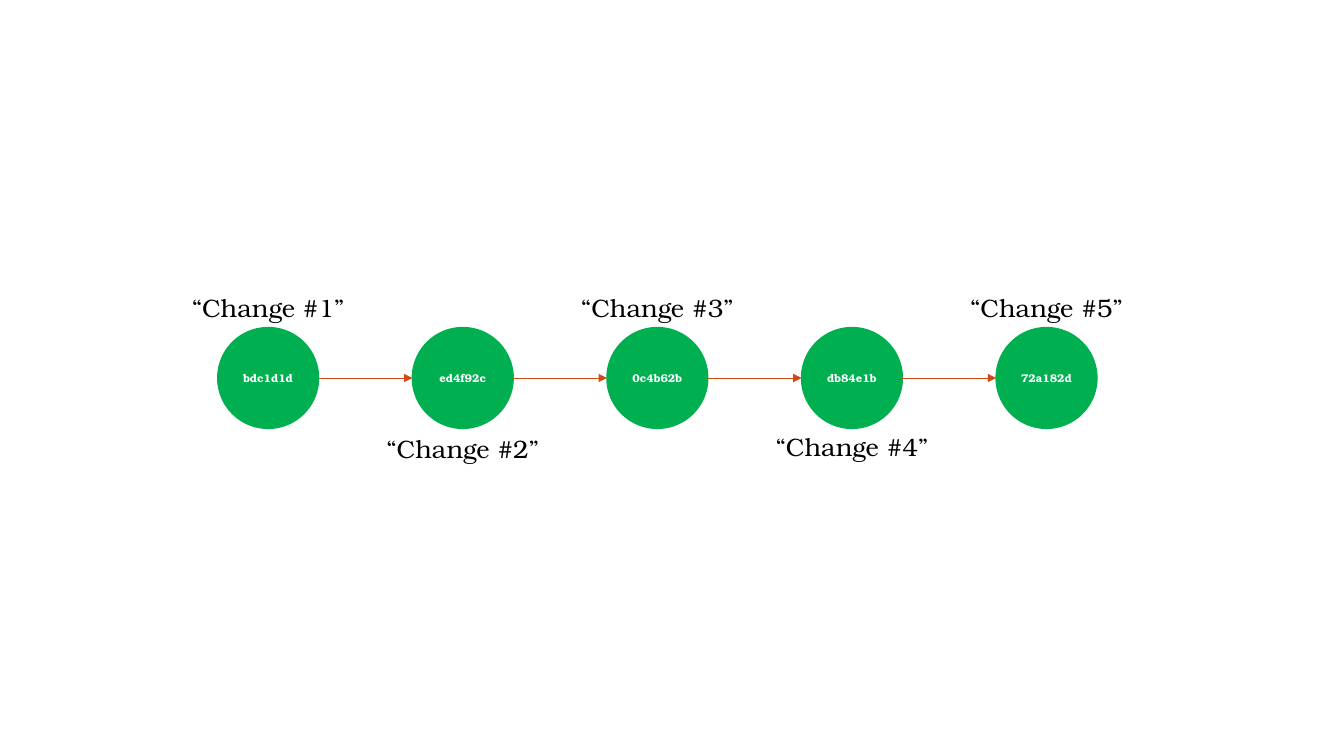
from dataclasses import dataclass

from lxml.etree import SubElement
from pptx import Presentation
from pptx.dml.color import RGBColor
from pptx.enum.shapes import MSO_CONNECTOR, MSO_SHAPE
from pptx.enum.text import MSO_ANCHOR, PP_ALIGN
from pptx.oxml.ns import qn
from pptx.util import Inches, Pt


@dataclass(frozen=True)
class Theme:
    font: str = "TeX Gyre Bonum"
    commit: RGBColor = RGBColor(0x00, 0xB0, 0x50)
    arrow: RGBColor = RGBColor(0xD3, 0x48, 0x17)
    on_commit: RGBColor = RGBColor(0xFF, 0xFF, 0xFF)
    text: RGBColor = RGBColor(0x00, 0x00, 0x00)
    hash_size: Pt = Pt(8)
    label_size: Pt = Pt(18)


THEME = Theme()
WIDTH, HEIGHT = Inches(13.33), Inches(7.5)
FIRST_CENTER = Inches(2.66)
COLUMN = Inches(1.93)
MIDDLE = HEIGHT // 2
DIAMETER = Inches(1)
LABEL_WIDTH, LABEL_HEIGHT = Inches(1.75), Inches(0.4)
ABOVE, BELOW = Inches(2.85), Inches(4.25)
ELLIPSE_LEFT, ELLIPSE_RIGHT = 2, 6

COMMITS = [
    ("bdc1d1d", "“Change #1”", ABOVE),
    ("ed4f92c", "“Change #2”", BELOW),
    ("0c4b62b", "“Change #3”", ABOVE),
    ("db84e1b", "“Change #4”", BELOW - Inches(0.02)),
    ("72a182d", "“Change #5”", ABOVE),
]


def write(tf, text, size, color, bold=False):
    tf.word_wrap = False
    p = tf.paragraphs[0]
    p.text = text
    p.alignment = PP_ALIGN.CENTER
    p.font.name = THEME.font
    p.font.size = size
    p.font.bold = bold
    p.font.color.rgb = color


def add_commit(slide, center, commit_hash):
    sp = slide.shapes.add_shape(
        MSO_SHAPE.OVAL, center - DIAMETER // 2, MIDDLE - DIAMETER // 2,
        DIAMETER, DIAMETER)
    sp.shadow.inherit = False
    sp.fill.solid()
    sp.fill.fore_color.rgb = THEME.commit
    sp.line.color.rgb = THEME.commit
    sp.line.width = Pt(1)
    sp.text_frame.vertical_anchor = MSO_ANCHOR.MIDDLE
    write(sp.text_frame, commit_hash, THEME.hash_size, THEME.on_commit, True)
    return sp


def add_label(slide, center, top, text):
    sp = slide.shapes.add_textbox(
        center - LABEL_WIDTH // 2, top, LABEL_WIDTH, LABEL_HEIGHT)
    write(sp.text_frame, text, THEME.label_size, THEME.text)


def add_arrow(slide, start, end):
    cxn = slide.shapes.add_connector(
        MSO_CONNECTOR.STRAIGHT, start.left + start.width, MIDDLE,
        end.left, MIDDLE)
    cxn.line.color.rgb = THEME.arrow
    cxn.line.width = Pt(0.5)
    SubElement(cxn.line._get_or_add_ln(), qn("a:tailEnd"), type="triangle")
    SubElement(cxn._element.spPr, qn("a:effectLst"))
    joints = cxn._element.find(".//" + qn("p:cNvCxnSpPr"))
    for tag, sp, site in (("a:stCxn", start, ELLIPSE_RIGHT),
                          ("a:endCxn", end, ELLIPSE_LEFT)):
        SubElement(joints, qn(tag), id=str(sp.shape_id), idx=str(site))


def main():
    prs = Presentation()
    prs.slide_width, prs.slide_height = WIDTH, HEIGHT
    slide = prs.slides.add_slide(prs.slide_layouts[6])
    centers = [FIRST_CENTER + i * COLUMN for i in range(len(COMMITS))]
    circles = [add_commit(slide, center, commit_hash)
               for center, (commit_hash, _, _) in zip(centers, COMMITS)]
    for start, end in zip(circles, circles[1:]):
        add_arrow(slide, start, end)
    for center, (_, label, top) in zip(centers, COMMITS):
        add_label(slide, center, top, label)
    prs.save("out.pptx")


if __name__ == "__main__":
    main()
